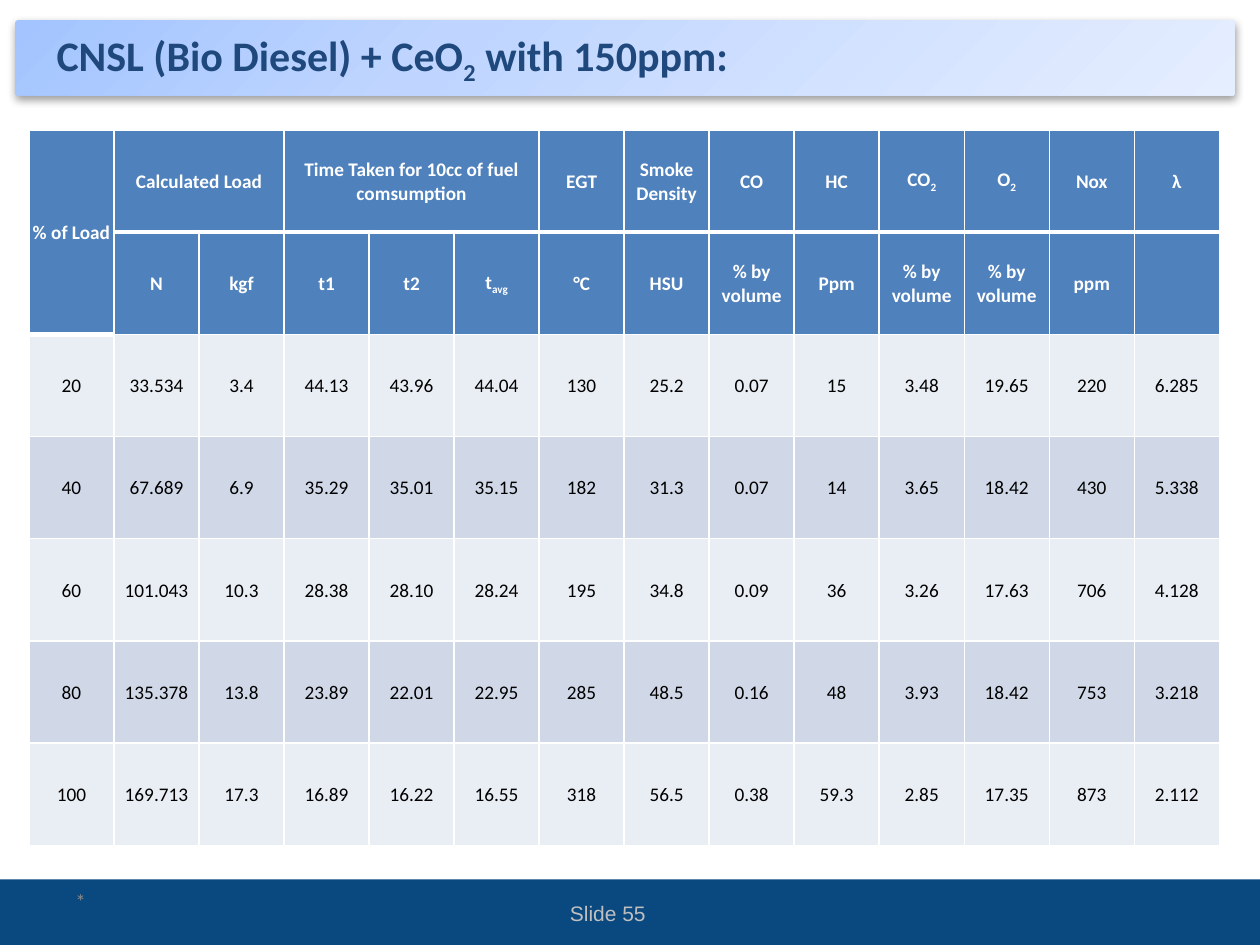
from pptx import Presentation
from pptx.dml.color import RGBColor
from pptx.enum.shapes import MSO_SHAPE as Shape
from pptx.enum.text import MSO_ANCHOR as Anchor, PP_ALIGN as Align
from pptx.oxml import parse_xml
from pptx.oxml.ns import nsdecls
from pptx.util import Inches, Pt

WHITE = RGBColor(0xFF, 0xFF, 0xFF)
BLACK = RGBColor(0, 0, 0)
NAVY = RGBColor(0x1F, 0x49, 0x7D)
DEEP = RGBColor(0x0A, 0x48, 0x80)
BLUE = RGBColor(0x4F, 0x81, 0xBD)
PALE = RGBColor(0xE9, 0xED, 0xF4)
MIST = RGBColor(0xD0, 0xD8, 0xE8)
SILVER = RGBColor(0xBF, 0xBF, 0xBF)
GRAY = RGBColor(0x89, 0x89, 0x89)
STOPS = [(0, RGBColor(0xA3, 0xC4, 0xFF)), (35, RGBColor(0xBF, 0xD5, 0xFF)),
         (100, RGBColor(0xE5, 0xEE, 0xFF))]

TITLE = "CNSL (Bio Diesel) + CeO_2_ with 150ppm:"
HEADS = [
    ["% of Load", "Calculated Load", "", "Time Taken for 10cc of fuel comsumption", "", "",
     "EGT", "Smoke Density", "CO", "HC", "CO_2", "O_2", "Nox", "λ"],
    ["", "N", "kgf", "t1", "t2", "t_avg", "°C", "HSU", "% by volume", "Ppm",
     "% by volume", "% by volume", "ppm", ""],
]
DATA = [
    ["20", "33.534", "3.4", "44.13", "43.96", "44.04", "130", "25.2", "0.07", "15",
     "3.48", "19.65", "220", "6.285"],
    ["40", "67.689", "6.9", "35.29", "35.01", "35.15", "182", "31.3", "0.07", "14",
     "3.65", "18.42", "430", "5.338"],
    ["60", "101.043", "10.3", "28.38", "28.10", "28.24", "195", "34.8", "0.09", "36",
     "3.26", "17.63", "706", "4.128"],
    ["80", "135.378", "13.8", "23.89", "22.01", "22.95", "285", "48.5", "0.16", "48",
     "3.93", "18.42", "753", "3.218"],
    ["100", "169.713", "17.3", "16.89", "16.22", "16.55", "318", "56.5", "0.38", "59.3",
     "2.85", "17.35", "873", "2.112"],
]
SPANS = [((0, 0), (1, 0)), ((0, 1), (0, 2)), ((0, 3), (0, 5))]


def write(frame, text, size, color, bold=False, align=Align.LEFT, face="Calibri"):
    para = frame.paragraphs[0]
    para.alignment = align
    font = para.font
    font.name, font.size, font.bold = face, Pt(size), bold
    font.color.rgb = color
    for i, part in enumerate(text.split("_")):
        if part:
            run = para.add_run()
            run.text = part
            if i % 2:
                run._r.get_or_add_rPr().set("baseline", "-25000")


def label(slide, at, text, *style, **more):
    frame = slide.shapes.add_textbox(*map(Inches, at)).text_frame
    frame.word_wrap = True
    frame.vertical_anchor = Anchor.MIDDLE
    write(frame, text, *style, **more)


def panel(slide, kind, at):
    shape = slide.shapes.add_shape(kind, *map(Inches, at))
    shape.shadow.inherit = False
    shape.line.fill.background()
    return shape


def banner(slide):
    shape = panel(slide, Shape.ROUNDED_RECTANGLE, (0.12, 0.16, 9.68, 0.6))
    shape.adjustments[0] = 0.04
    shape.fill.background()
    props = shape._element.spPr
    stops = "".join(f'<a:gs pos="{pos * 1000}"><a:srgbClr val="{color}"/></a:gs>'
                    for pos, color in STOPS)
    grad = parse_xml(f'<a:gradFill {nsdecls("a")} rotWithShape="1"><a:gsLst>{stops}</a:gsLst>'
                     '<a:lin ang="2700000" scaled="0"/></a:gradFill>')
    props.replace(props.find("{*}noFill"), grad)
    shade = parse_xml(
        f'<a:outerShdw {nsdecls("a")} blurRad="{Pt(5)}" dist="{Pt(1.6)}" dir="5400000" '
        'rotWithShape="0"><a:srgbClr val="000000"><a:alpha val="38000"/></a:srgbClr>'
        '</a:outerShdw>')
    props.find("{*}effectLst").append(shade)


def border(cell, top, bottom):
    props = cell._tc.get_or_add_tcPr()
    for i, (side, width) in enumerate(zip("LRTB", (1, 1, top, bottom))):
        props.insert(i, parse_xml(
            f'<a:ln{side} {nsdecls("a")} w="{Pt(width)}"><a:solidFill>'
            f'<a:srgbClr val="{WHITE}"/></a:solidFill></a:ln{side}>'))


def grid(slide):
    rows = HEADS + DATA
    box = map(Inches, (0.23, 1.03, 9.45, 5.68))
    table = slide.shapes.add_table(len(rows), len(rows[0]), *box).table
    table.first_row = table.horz_banding = False
    for r, row in enumerate(rows):
        head = r < len(HEADS)
        for c, text in enumerate(row):
            cell = table.cell(r, c)
            cell.fill.solid()
            cell.fill.fore_color.rgb = BLUE if head else (MIST if r % 2 else PALE)
            cell.margin_left = cell.margin_right = cell.margin_top = Inches(0.01)
            cell.margin_bottom = 0
            cell.vertical_anchor = Anchor.MIDDLE
            write(cell.text_frame, text, 11, WHITE if head else BLACK, head, Align.CENTER)
            rule = 2 if c == 0 else 1
            border(cell, 3 if r == rule else 1, 3 if r + 1 == rule else 1)
    for first, last in SPANS:
        table.cell(*first).merge(table.cell(*last))
    border_cell = table.cell(0, 0)._tc.tcPr
    border_cell.find("{*}lnB").set("w", str(Pt(3)))


def main():
    deck = Presentation()
    deck.slide_width, deck.slide_height = Inches(10), Inches(7.5)
    slide = deck.slides.add_slide(deck.slide_layouts[6])
    foot = panel(slide, Shape.RECTANGLE, (0, 6.98, 10, 0.52))
    foot.fill.solid()
    foot.fill.fore_color.rgb = DEEP
    banner(slide)
    label(slide, (0.35, 0.21, 8.18, 0.5), TITLE, 24, NAVY, bold=True)
    label(slide, (3.66, 7.05, 2.33, 0.4), "Slide 55", 12, SILVER,
          align=Align.CENTER, face="Arial")
    label(slide, (0.5, 6.95, 2.33, 0.4), "*", 12, GRAY)
    grid(slide)
    deck.save("out.pptx")


if __name__ == "__main__":
    main()
